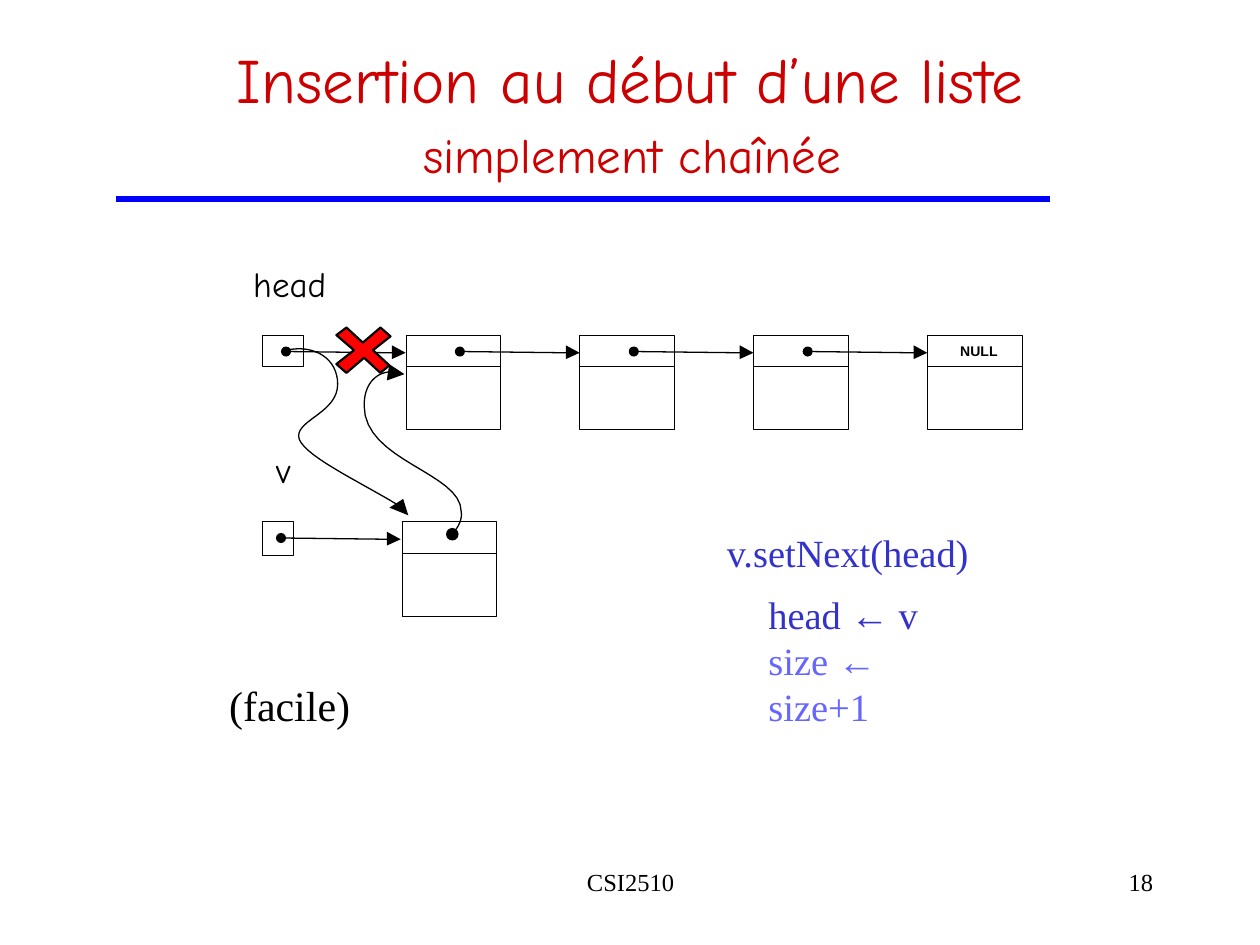
from lxml.etree import SubElement
from pptx import Presentation
from pptx.dml.color import RGBColor
from pptx.enum.shapes import MSO_CONNECTOR, MSO_SHAPE
from pptx.enum.text import MSO_ANCHOR, PP_ALIGN
from pptx.oxml.ns import qn
from pptx.util import Inches, Pt

COLORS = {
    "title": "CC0000", "rule": "0000FF", "ink": "000000", "paper": "FFFFFF",
    "code": "3333CC", "code_light": "6666FF", "cross": "FF0000",
}
SERIF, SANS, COMIC = "Times New Roman", "Arial", "Comic Neue"
NODE_WIDTH, NODE_PITCH, LINK_HEIGHT, DATA_HEIGHT = 0.75, 1.38, 0.25, 0.5


def color(name):
    """Return the palette color with the given name."""
    return RGBColor.from_string(COLORS[name])


def write(frame, text, font=SERIF, size=20, ink="ink", bold=False,
          align=PP_ALIGN.LEFT, anchor=MSO_ANCHOR.TOP, wrap=True, margins=(0.1, 0.05, 0.1, 0.05)):
    """Fill a frame with a string, or with paragraphs made of (text, font, ink) runs."""
    frame.word_wrap, frame.vertical_anchor = wrap, anchor
    frame.margin_left, frame.margin_top, frame.margin_right, frame.margin_bottom = map(Inches, margins)
    paragraphs = [[(text, font, ink)]] if isinstance(text, str) else text
    for index, runs in enumerate(paragraphs):
        paragraph = frame.add_paragraph() if index else frame.paragraphs[0]
        paragraph.alignment = align
        for words, face, tint in runs:
            run = paragraph.add_run()
            run.text = words
            run.font.name, run.font.size, run.font.bold = face, Pt(size), bold
            run.font.color.rgb = color(tint)


def add_text(slide, text, left, top, width, height, **style):
    """Add a text box with formatted text."""
    box = slide.shapes.add_textbox(*map(Inches, (left, top, width, height)))
    write(box.text_frame, text, **style)


def paint(shape, fill=None, line=None, weight=0.25):
    """Set the fill and outline of a shape; None leaves either one out."""
    shape.shadow.inherit = False
    if fill:
        shape.fill.solid()
        shape.fill.fore_color.rgb = color(fill)
    else:
        shape.fill.background()
    if line:
        shape.line.color.rgb = color(line)
        shape.line.width = Pt(weight)
    else:
        shape.line.fill.background()


def add_cell(slide, left, top, width, height):
    """Add one outlined memory cell."""
    cell = slide.shapes.add_shape(MSO_SHAPE.RECTANGLE, *map(Inches, (left, top, width, height)))
    paint(cell, "paper", "ink")


def add_dot(slide, x, y, size=0.08):
    """Add a round pointer origin centered on a point."""
    corner = (x - size / 2, y - size / 2, size, size)
    paint(slide.shapes.add_shape(MSO_SHAPE.OVAL, *map(Inches, corner)), "ink")


def add_outline(slide, points, closed=True, **style):
    """Add a freeform through points given in inches."""
    scaled = [(Inches(x), Inches(y)) for x, y in points]
    builder = slide.shapes.build_freeform(*scaled[0])
    builder.add_line_segments(scaled[1:], close=closed)
    paint(builder.convert_to_shape(), **style)


def add_line(slide, start, end, ink="ink", weight=0.75):
    """Add a straight line between two points."""
    line = slide.shapes.add_connector(MSO_CONNECTOR.STRAIGHT, *map(Inches, (*start, *end)))
    line.line.color.rgb = color(ink)
    line.line.width = Pt(weight)
    SubElement(line._element.spPr, qn("a:effectLst"))


def add_pointer(slide, x, y, length=0.95):
    """Add a dot and a horizontal arrow leaving it."""
    tip = x + length
    add_line(slide, (x, y), (tip - 0.09, y + 0.01))
    add_dot(slide, x, y)
    head = [(tip - 0.11, y - 0.05), (tip, y + 0.01), (tip - 0.11, y + 0.06)]
    add_outline(slide, head, fill="ink")


def add_node(slide, left, top):
    """Add a list node: a link cell above a data cell."""
    add_cell(slide, left, top, NODE_WIDTH, LINK_HEIGHT)
    add_cell(slide, left, top + LINK_HEIGHT, NODE_WIDTH, DATA_HEIGHT)


def bezier(controls, steps=16):
    """Sample a chain of cubic curves given by 3n + 1 control points."""
    points = [controls[0]]
    for first in range(0, len(controls) - 1, 3):
        segment = controls[first:first + 4]
        for step in range(1, steps + 1):
            t = step / steps
            weights = ((1 - t) ** 3, 3 * t * (1 - t) ** 2, 3 * t * t * (1 - t), t ** 3)
            points.append(tuple(sum(w * p[axis] for w, p in zip(weights, segment)) for axis in (0, 1)))
    return points


def add_curved_arrow(slide, left, top, controls, head):
    """Add a curve and its arrowhead relative to a corner."""
    curve = [(left + x, top + y) for x, y in bezier(controls)]
    add_outline(slide, curve, closed=False, line="ink", weight=0.75)
    add_outline(slide, [(left + x, top + y) for x, y in head], fill="ink")


def add_heading(slide, left, top, width):
    """Place the title, the subtitle and the rule."""
    title = slide.shapes.title
    title.left, title.top, title.width, title.height = map(Inches, (left, top, width, 1.25))
    write(title.text_frame, "Insertion au début d’une liste", font=COMIC, size=36, ink="title",
          align=PP_ALIGN.CENTER, anchor=MSO_ANCHOR.MIDDLE)
    add_text(slide, "simplement chaînée", left + 2.51, top + 0.94, 3.8, 0.57,
             font=COMIC, size=28, ink="title")
    add_line(slide, (left + 0.17, top + 1.58), (left + 7.58, top + 1.58), "rule", 3.25)


def add_list(slide, left, top):
    """Draw the head pointer and the linked nodes."""
    label = dict(align=PP_ALIGN.CENTER, wrap=False, margins=(0, 0, 0, 0))
    add_text(slide, "head", left - 0.07, top - 0.58, 0.58, 0.33, font=COMIC, **label)
    add_cell(slide, left, top, 0.33, LINK_HEIGHT)
    nodes = [left + 1.14 + index * NODE_PITCH for index in range(4)]
    for node in nodes:
        add_node(slide, node, top)
    for node in nodes:
        add_pointer(slide, node - 0.95, top + 0.13)
    add_text(slide, "NULL", nodes[-1] + 0.26, top + 0.06, 0.3, 0.13,
             font=SANS, size=8, bold=True, **label)


def add_new_node(slide, left, top):
    """Draw the pointer v and the node to insert."""
    add_text(slide, "v", left + 0.11, top - 0.58, 0.12, 0.33, font=COMIC,
             align=PP_ALIGN.CENTER, wrap=False, margins=(0, 0, 0, 0))
    add_cell(slide, left, top, 0.25, 0.27)
    add_node(slide, left + 1.11, top)
    add_pointer(slide, left + 0.15, top + 0.13)
    add_dot(slide, left + 1.51, top + 0.1, 0.1)


def add_relinking(slide, left, top):
    """Cross out the old link and draw the two new ones."""
    cross = [(0.59, 0), (0.73, 0.12), (0.59, 0.23), (0.67, 0.3), (0.81, 0.18), (0.94, 0.3),
             (1.01, 0.24), (0.88, 0.12), (1.02, 0.01), (0.94, -0.06), (0.8, 0.06), (0.67, -0.06)]
    add_outline(slide, [(left + x, top + y) for x, y in cross],
                fill="cross", line="ink", weight=1.25)
    add_curved_arrow(
        slide, left, top,
        [(0.19, 0.12), (0.42, 0.07), (0.6, 0.19), (0.6, 0.39), (0.6, 0.61),
         (0.29, 0.67), (0.29, 0.8), (0.29, 0.94), (0.77, 1.16), (1.08, 1.35)],
        [(1.12, 1.3), (1.16, 1.43), (1.01, 1.37)])
    add_curved_arrow(
        slide, left, top,
        [(1.51, 1.58), (1.56, 1.52), (1.59, 1.46), (1.58, 1.4), (1.58, 1.09),
         (0.81, 1), (0.81, 0.56), (0.81, 0.4), (0.89, 0.3), (1.02, 0.29)],
        [(1.01, 0.23), (1.13, 0.31), (0.99, 0.36)])


def add_code(slide, left, top):
    """Place the insertion steps."""
    add_text(slide, "v.setNext(head)", left, top, 2.4, 0.47, size=22, ink="code")
    steps = [
        [("head ", SERIF, "code"), ("←", SANS, "code"), (" v", SERIF, "code")],
        [("size ", SERIF, "code_light"), ("← ", SANS, "code_light"), ("size+1", SERIF, "code_light")],
    ]
    add_text(slide, steps, left + 0.33, top + 0.49, 1.92, 1.76, size=22, margins=(0.1, 0.05, 0.2, 0.05))


def add_footer(slide, top):
    """Place the course code and the slide number."""
    add_text(slide, "CSI2510", 3.42, top, 3.17, 0.5, size=14, align=PP_ALIGN.CENTER)
    add_text(slide, "18", 7.17, top, 2.08, 0.5, size=14, align=PP_ALIGN.RIGHT)


def main():
    """Build and save the presentation."""
    presentation = Presentation()
    presentation.slide_width, presentation.slide_height = Inches(10), Inches(7.5)
    slide = presentation.slides.add_slide(presentation.slide_layouts[5])
    add_heading(slide, 0.75, 0, 8.5)
    add_list(slide, 2.08, 2.66)
    add_new_node(slide, 2.08, 4.14)
    add_relinking(slide, 2.08, 2.66)
    add_text(slide, "(facile)", 1.72, 5.34, 2.84, 0.5, size=24)
    add_code(slide, 5.67, 4.15)
    add_footer(slide, 6.83)
    presentation.save("out.pptx")


if __name__ == "__main__":
    main()
